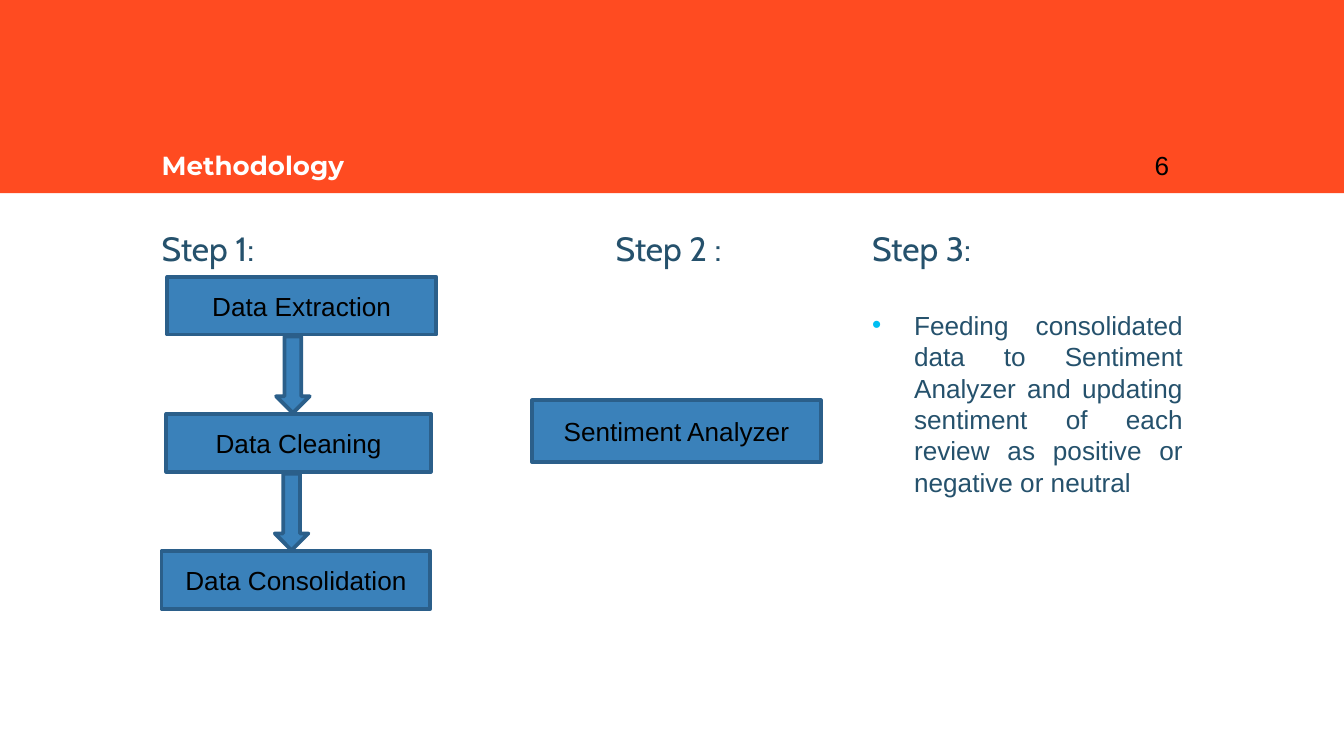
from dataclasses import dataclass

from lxml.etree import SubElement
from pptx import Presentation
from pptx.dml.color import RGBColor
from pptx.enum.shapes import MSO_SHAPE
from pptx.enum.text import MSO_ANCHOR, PP_ALIGN
from pptx.oxml.ns import qn
from pptx.shapes.autoshape import Shape
from pptx.slide import Slide
from pptx.text.text import _Paragraph
from pptx.util import Pt


@dataclass(frozen=True)
class Theme:
    """Colours, fonts and type sizes of the slide."""

    banner: str = "FF4B21"
    banner_text: str = "FFFFFF"
    heading: str = "25516C"
    bullet: str = "00BEF2"
    box: str = "3A81BA"
    outline: str = "2B5F8A"
    ink: str = "000000"
    title_font: str = "Montserrat"
    heading_font: str = "Cabin"
    body_font: str = "Arial"
    heading_size: float = 18
    body_size: float = 14
    inset: float = 7.2


@dataclass(frozen=True)
class Area:
    """A rectangle in points."""

    left: float
    top: float
    width: float
    height: float

    def lengths(self) -> tuple[Pt, Pt, Pt, Pt]:
        """Return the rectangle as slide lengths."""
        return Pt(self.left), Pt(self.top), Pt(self.width), Pt(self.height)


@dataclass(frozen=True)
class Process:
    """A labelled process box."""

    label: str
    area: Area


@dataclass(frozen=True)
class Step:
    """A column heading."""

    heading: str
    align: PP_ALIGN = PP_ALIGN.LEFT


THEME = Theme()
SLIDE_WIDTH, SLIDE_HEIGHT = 720, 405
BANNER_HEIGHT = 103.5
TITLE_TOP, TITLE_HEIGHT = 51.4, 52.6
COLUMN_LEFT, COLUMN_PITCH = 79.5, 190.3
COLUMN_TOP, COLUMN_WIDTH, COLUMN_HEIGHT = 114.8, 180.7, 224.6
FLOW_TOP, FLOW_PITCH, BOX_HEIGHT = 148.3, 73.5, 31

STEPS = (Step("Step 1:"), Step("Step 2 : ", PP_ALIGN.CENTER), Step("Step 3:"))
FLOW = tuple(
    Process(label, Area(left, FLOW_TOP + row * FLOW_PITCH, width, BOX_HEIGHT))
    for row, (label, left, width) in enumerate(
        (
            ("Data Extraction", 89.7, 144),
            ("Data Cleaning", 89.1, 141.8),
            ("Data Consolidation", 86.6, 144),
        )
    )
)
ARROWS = tuple(
    Area(left, FLOW_TOP + row * FLOW_PITCH + 32, 18, 41)
    for row, left in enumerate((147.9, 147.2))
)
ANALYZER = Process("Sentiment Analyzer", Area(285, 214.5, 154.8, 33))
FEEDING = (
    "Feeding consolidated data to Sentiment Analyzer and updating "
    "sentiment of each review as positive or negative or neutral"
)


def style(paragraph: _Paragraph, font: str, size: float, color: str, bold: bool = False) -> None:
    """Format every run of a paragraph."""
    for run in paragraph.runs:
        run.font.name = font
        run.font.size = Pt(size)
        run.font.bold = bold
        run.font.color.rgb = RGBColor.from_string(color)


def add_text(slide: Slide, area: Area, text: str, anchor: MSO_ANCHOR) -> Shape:
    """Add a wrapping text box with even insets."""
    box = slide.shapes.add_textbox(*area.lengths())
    frame = box.text_frame
    frame.word_wrap = True
    frame.vertical_anchor = anchor
    frame.margin_left = frame.margin_right = Pt(THEME.inset)
    frame.margin_top = frame.margin_bottom = Pt(THEME.inset)
    frame.text = text
    return box


def add_block(slide: Slide, kind: MSO_SHAPE, area: Area, fill: str, outline: str | None = None) -> Shape:
    """Add a flat filled shape with an optional outline."""
    block = slide.shapes.add_shape(kind, *area.lengths())
    block.shadow.inherit = False
    block.fill.solid()
    block.fill.fore_color.rgb = RGBColor.from_string(fill)
    if outline:
        block.line.color.rgb = RGBColor.from_string(outline)
        block.line.width = Pt(2)
    else:
        block.line.fill.background()
    return block


def add_process(slide: Slide, process: Process) -> None:
    """Add a process box with its centred label."""
    block = add_block(slide, MSO_SHAPE.RECTANGLE, process.area, THEME.box, THEME.outline)
    block.text_frame.text = process.label
    block.text_frame.vertical_anchor = MSO_ANCHOR.MIDDLE
    label = block.text_frame.paragraphs[0]
    label.alignment = PP_ALIGN.CENTER
    style(label, THEME.body_font, THEME.body_size, THEME.ink)


def add_step(slide: Slide, step: Step, column: int) -> Shape:
    """Add a step heading in its column."""
    area = Area(COLUMN_LEFT + column * COLUMN_PITCH, COLUMN_TOP, COLUMN_WIDTH, COLUMN_HEIGHT)
    body = add_text(slide, area, step.heading, MSO_ANCHOR.TOP)
    heading = body.text_frame.paragraphs[0]
    heading.alignment = step.align
    style(heading, THEME.heading_font, THEME.heading_size, THEME.heading)
    return body


def add_bullet(body: Shape, text: str) -> None:
    """Add a justified bullet below a step heading."""
    item = body.text_frame.add_paragraph()
    item.text = text
    item.alignment = PP_ALIGN.JUSTIFY
    item.space_before = Pt(22)
    style(item, THEME.body_font, THEME.body_size, THEME.heading)
    properties = item._p.get_or_add_pPr()
    indent = Pt(22.5)
    properties.set("marL", str(indent))
    properties.set("indent", str(-indent))
    color = SubElement(properties, qn("a:buClr"))
    SubElement(color, qn("a:srgbClr"), val=THEME.bullet)
    SubElement(properties, qn("a:buFont"), typeface=THEME.body_font)
    SubElement(properties, qn("a:buChar"), char="•")


def main() -> None:
    """Build and save the methodology slide."""
    deck = Presentation()
    deck.slide_width, deck.slide_height = Pt(SLIDE_WIDTH), Pt(SLIDE_HEIGHT)
    slide = deck.slides.add_slide(deck.slide_layouts[6])

    add_block(slide, MSO_SHAPE.RECTANGLE, Area(0, 0, SLIDE_WIDTH, BANNER_HEIGHT), THEME.banner)
    title = add_text(slide, Area(COLUMN_LEFT, TITLE_TOP, 561.6, TITLE_HEIGHT), "Methodology", MSO_ANCHOR.BOTTOM)
    style(title.text_frame.paragraphs[0], THEME.title_font, THEME.body_size, THEME.banner_text, True)
    number = add_text(slide, Area(611.5, TITLE_TOP, 43.2, TITLE_HEIGHT), "6", MSO_ANCHOR.BOTTOM)
    style(number.text_frame.paragraphs[0], THEME.body_font, THEME.body_size, THEME.ink)

    columns = [add_step(slide, step, column) for column, step in enumerate(STEPS)]
    add_bullet(columns[-1], FEEDING)
    for process in (*FLOW, ANALYZER):
        add_process(slide, process)
    for arrow in ARROWS:
        add_block(slide, MSO_SHAPE.DOWN_ARROW, arrow, THEME.box, THEME.outline)

    deck.save("out.pptx")


if __name__ == "__main__":
    main()
